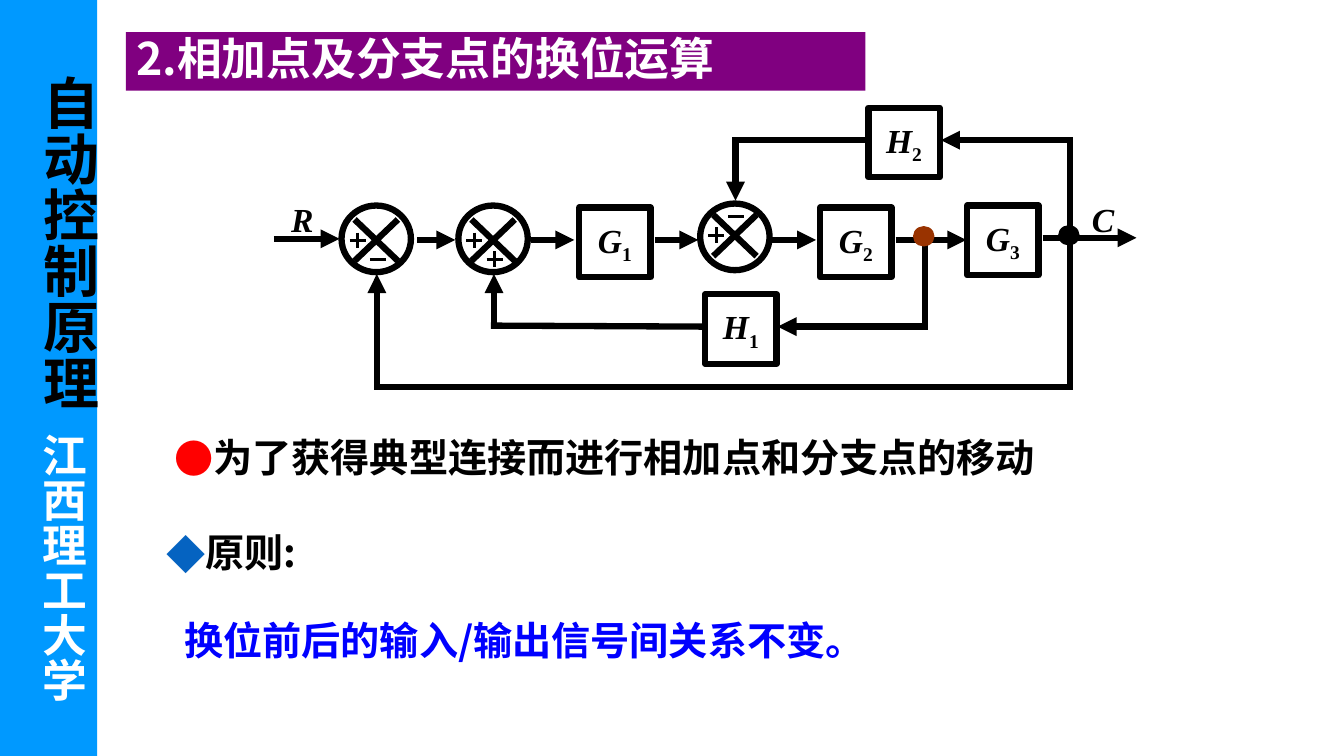
import dataclasses
import itertools
import typing

import lxml.etree
import pptx
import pptx.dml.color
import pptx.enum.shapes
import pptx.enum.text
import pptx.oxml.ns
import pptx.util

Pt = pptx.util.Pt
Shape = pptx.enum.shapes.MSO_SHAPE
Anchor = pptx.enum.text.MSO_ANCHOR
Align = pptx.enum.text.PP_ALIGN
qn = pptx.oxml.ns.qn

CJK = "Noto Sans CJK SC"
SERIF = "Times New Roman"
BLACK, WHITE = "000000", "FFFFFF"
WIRE_WIDTH, SIGN_WIDTH = 4.5, 2.25
BLOCK_SIZE = (51, 49.7)
Point = tuple[float, float]
Area = tuple[float, float, float, float]


@dataclasses.dataclass
class Block:
    letter: str
    index: str
    left: float
    top: float


@dataclasses.dataclass
class Junction:
    """Summing point; side is 1 when its second sign is below, -1 above."""
    x: float
    y: float
    side: int
    second_sign: str


@dataclasses.dataclass
class Wire:
    points: list[Point]
    arrow: bool = True


@dataclasses.dataclass
class Caption:
    text: str
    area: Area
    size: float
    color: str
    font: str = CJK
    vertical: bool = False
    italic: bool = False
    inset: tuple[float, float] = (7.2, 3.6)
    bullet: str = ""
    bullet_color: str = BLACK
    indent: float = 0
    spacing: float = 1.0
    anchor: Anchor = Anchor.TOP


BLOCKS = [
    Block("G", "1", 414, 148.3), Block("G", "2", 586.1, 148.3),
    Block("G", "3", 691.2, 146.9), Block("H", "1", 504, 210.2),
    Block("H", "2", 620.6, 77),
]
JUNCTIONS = [
    Junction(268.9, 170.6, 1, "-"), Junction(352.4, 170.6, 1, "+"),
    Junction(525.2, 169.2, -1, "-"),
]
WIRES = [
    Wire([(195.8, 170.6), (242.6, 170.6)]),
    Wire([(298.1, 171.4), (325.4, 171.4)]),
    Wire([(379.4, 171.4), (410.4, 171.4)]),
    Wire([(468, 171.4), (499, 171.4)]),
    Wire([(551.5, 171.4), (583.2, 171.4)]),
    Wire([(640.1, 171.4), (690.5, 171.4)]),
    Wire([(745.2, 169.9), (812.2, 169.9)]),
    Wire([(661, 173.5), (661, 233.3), (555.8, 233.3)]),
    Wire([(501.1, 233.3), (353, 232.6), (353, 195.8)]),
    Wire([(764.6, 169.9), (764.6, 100.1), (672.5, 100.1)]),
    Wire([(617.8, 100.1), (525.6, 100.1), (525.6, 143.3)]),
    Wire([(764.6, 169.9), (764.6, 276.5), (269.3, 276.5), (269.3, 195.8)]),
]
BRANCH_POINTS = [((660.2, 168.8), "993300"), ((763.9, 168.1), BLACK)]
TITLE = Caption("2.相加点及分支点的换位运算", (90, 23, 528.5, 41.8), 32, WHITE,
                inset=(7.2, 0), spacing=0.9, anchor=Anchor.MIDDLE)
PURPOSE = Caption("为了获得典型连接而进行相加点和分支点的移动",
                  (117.4, 305.7, 724.3, 47.8), 28, BLACK, "Lato",
                  bullet="●", bullet_color="FF0000", indent=27.4)
CAPTIONS = [
    Caption("原则:", (111.6, 374, 130, 47.8), 28, BLACK,
            bullet="◆", bullet_color="0563C1"),
    Caption("换位前后的输入/输出信号间关系不变。",
            (124.6, 436.7, 519.8, 47.8), 28, "0000FF"),
    Caption("R", (199.4, 133.2, 29.5, 46), 24, BLACK, SERIF,
            italic=True, inset=(8.6, 8.6)),
    Caption("C", (771.8, 133.2, 31, 46), 24, BLACK, SERIF,
            italic=True, inset=(8.6, 8.6)),
    Caption("自动控制原理", (16, 53.6, 58, 250), 40, BLACK,
            vertical=True, inset=(0, 0)),
    Caption("江西理工大学", (18.3, 309.6, 46.5, 202), 32, WHITE, "Arial",
            vertical=True, inset=(0, 0)),
]


def rgb(value: str) -> pptx.dml.color.RGBColor:
    return pptx.dml.color.RGBColor.from_string(value)


def assign(target: typing.Any, values: dict[str, typing.Any]) -> None:
    for name, value in values.items():
        setattr(target, name, value)


def add_span(para, text: str, size: float, color: str, font: str,
             italic: bool = False):
    span = para.add_run()
    span.text = text
    assign(span.font, {"size": Pt(size), "name": font, "bold": True, "italic": italic})
    span.font.color.rgb = rgb(color)
    east_asian = lxml.etree.SubElement(span._r.get_or_add_rPr(), qn("a:ea"))
    east_asian.set("typeface", CJK)
    return span


def set_frame(frame, inset: tuple[float, float], anchor: Anchor) -> None:
    across, down = map(Pt, inset)
    assign(frame, {"word_wrap": True, "auto_size": pptx.enum.text.MSO_AUTO_SIZE.NONE,
                   "vertical_anchor": anchor, "margin_left": across,
                   "margin_right": across, "margin_top": down, "margin_bottom": down})


def set_bullet(para, caption: Caption) -> None:
    properties = para._p.get_or_add_pPr()
    properties.set("marL", str(Pt(caption.indent)))
    properties.set("indent", str(Pt(-caption.indent)))
    color = lxml.etree.SubElement(properties, qn("a:buClr"))
    lxml.etree.SubElement(color, qn("a:srgbClr")).set("val", caption.bullet_color)
    lxml.etree.SubElement(properties, qn("a:buFont")).set("typeface", CJK)
    lxml.etree.SubElement(properties, qn("a:buChar")).set("char", caption.bullet)


def write_caption(box, caption: Caption) -> None:
    assign(box, dict(zip(("left", "top", "width", "height"), map(Pt, caption.area))))
    frame = box.text_frame
    set_frame(frame, caption.inset, caption.anchor)
    if caption.vertical:
        frame._txBody.bodyPr.set("vert", "eaVert")
    para = frame.paragraphs[0]
    if caption.bullet:
        set_bullet(para, caption)
    assign(para, {"alignment": Align.LEFT, "space_before": Pt(0),
                  "line_spacing": caption.spacing})
    add_span(para, caption.text, caption.size, caption.color, caption.font, caption.italic)


def add_figure(page, kind: Shape, area: Area, fill: str = "", line: str = "",
               width: float = WIRE_WIDTH):
    figure = page.shapes.add_shape(kind, *map(Pt, area))
    figure.shadow.inherit = False
    if fill:
        figure.fill.solid()
        figure.fill.fore_color.rgb = rgb(fill)
    else:
        figure.fill.background()
    if line:
        figure.line.color.rgb = rgb(line)
        figure.line.width = Pt(width)
    else:
        figure.line.fill.background()
    return figure


def add_line(page, start: Point, end: Point, width: float = WIRE_WIDTH,
             arrow: bool = False, square: bool = False) -> None:
    line = page.shapes.add_connector(
        pptx.enum.shapes.MSO_CONNECTOR.STRAIGHT, *map(Pt, start + end))
    line.line.color.rgb = rgb(BLACK)
    line.line.width = Pt(width)
    outline = line.line._get_or_add_ln()
    if square:
        outline.set("cap", "sq")
    if arrow:
        lxml.etree.SubElement(outline, qn("a:tailEnd")).set("type", "triangle")
    lxml.etree.SubElement(line._element.spPr, qn("a:effectLst"))


def add_wire(page, wire: Wire) -> None:
    segments = list(itertools.pairwise(wire.points))
    for number, (start, end) in enumerate(segments, 1):
        last = number == len(segments)
        add_line(page, start, end, arrow=wire.arrow and last, square=not last)


def add_sign(page, sign: str, x: float, y: float) -> None:
    reach = 5.7
    add_line(page, (x - reach, y), (x + reach, y), SIGN_WIDTH)
    if sign == "+":
        add_line(page, (x, y - reach), (x, y + reach), SIGN_WIDTH)


def add_junction(page, junction: Junction) -> None:
    x, y, side = junction.x, junction.y, junction.side
    add_figure(page, Shape.OVAL, (x - 24.8, y - 23.8, 49.6, 47.6), line=BLACK)
    middle = y + side
    for rise in (14.8, -14.8):
        add_line(page, (x - 15.5, middle - rise), (x + 15.5, middle + rise))
    add_sign(page, "+", x - 13.3, y + 1.2 * side)
    add_sign(page, junction.second_sign, x + 1.1, y + 14.5 * side)


def add_block(page, block: Block) -> None:
    box = add_figure(page, Shape.RECTANGLE, (block.left, block.top, *BLOCK_SIZE), line=BLACK)
    set_frame(box.text_frame, (8.6, 8.6), Anchor.MIDDLE)
    para = box.text_frame.paragraphs[0]
    para.alignment = Align.CENTER
    add_span(para, block.letter, 24, BLACK, SERIF, italic=True)
    index = add_span(para, block.index, 24, BLACK, SERIF)
    index._r.get_or_add_rPr().set("baseline", "-25000")


def main() -> None:
    deck = pptx.Presentation()
    assign(deck, {"slide_width": Pt(960.5), "slide_height": Pt(540)})
    page = deck.slides.add_slide(deck.slide_layouts[1])
    title, body = page.placeholders
    title.fill.solid()
    title.fill.fore_color.rgb = rgb("800080")
    write_caption(title, TITLE)
    write_caption(body, PURPOSE)
    add_figure(page, Shape.RECTANGLE, (0, 0, 69.5, 540), fill="0099FF")
    for wire in WIRES:
        add_wire(page, wire)
    for block in BLOCKS:
        add_block(page, block)
    for junction in JUNCTIONS:
        add_junction(page, junction)
    for (x, y), color in BRANCH_POINTS:
        add_figure(page, Shape.OVAL, (x - 7.2, y - 6.8, 14.4, 13.6), color, color, 1)
    for caption in CAPTIONS:
        write_caption(page.shapes.add_textbox(*map(Pt, caption.area)), caption)
    deck.save("out.pptx")


if __name__ == "__main__":
    main()
